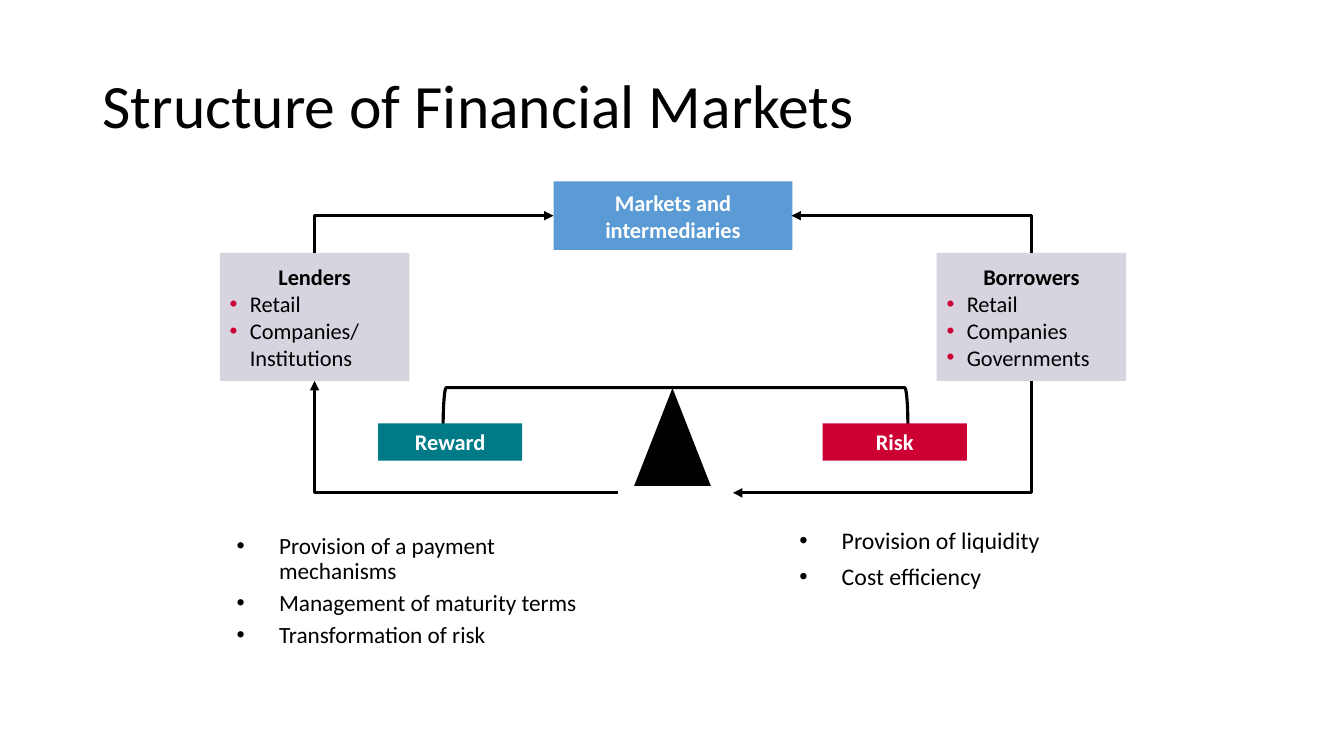
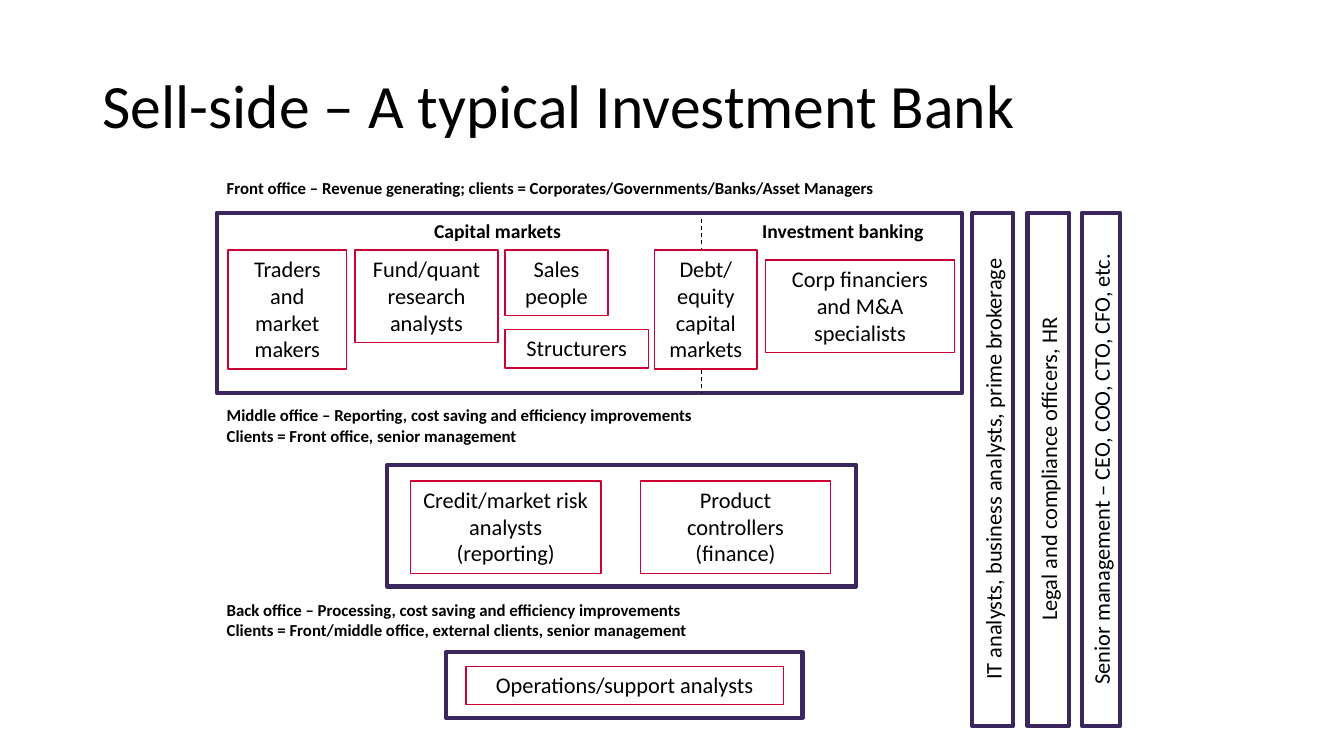
import pptx
import pptx.util
import pptx.dml.color
import pptx.enum.dml
import pptx.enum.shapes
import pptx.enum.text
import pptx.oxml.ns
import lxml.etree

PX = 9144
FONT = "Calibri"
COLORS = {
    "black": "000000", "white": "FFFFFF", "blue": "5B9BD5", "teal": "007A87",
    "red": "CC0033", "lilac": "D8D4DF", "purple": "3B265E",
}
TITLE_BOX = (92, 35, 1150, 145)
SHAPE = pptx.enum.shapes.MSO_SHAPE
CONNECTOR = pptx.enum.shapes.MSO_CONNECTOR
ALIGN = pptx.enum.text.PP_ALIGN
ANCHOR = pptx.enum.text.MSO_ANCHOR

MARKET_TITLE = "Structure of Financial Markets"
MARKET_LABELS = [
    ("Markets and intermediaries", (549, 180, 237, 68), "blue"),
    ("Reward", (375, 420, 143, 37), "teal"),
    ("Risk", (816, 420, 143, 37), "red"),
]
PARTIES = [
    (218, ["Lenders", "Retail", "Companies/\vInstitutions"]),
    (929, ["Borrowers", "Retail", "Companies", "Governments"]),
]
PARTY_TOP, PARTY_W, PARTY_H = 251, 188, 127
FLOWS = [
    ((549, 214), (312, 251), "headEnd"),
    ((785, 214), (1023, 251), "headEnd"),
    ((727, 489), (1023, 378), "headEnd"),
    ((613, 489), (312, 378), "tailEnd"),
]
BEAM = (651, 173, 38, 461)
PIVOT = (629, 385, 76, 97)
FUNCTIONS = [
    ((167, 525, 443, 134), 16.6, 0.9,
     ["Provision of a payment mechanisms", "Management of maturity terms",
      "Transformation of risk"]),
    ((725, 517, 442, 127), 17, 1.0, ["Provision of liquidity", "Cost efficiency"]),
]

BANK_TITLE = "Sell-side – A typical Investment Bank"
OFFICE_FRAMES = [(215, 211, 739, 179), (384, 461, 465, 121), (442, 647, 354, 65)]
ROLES = [
    ("Traders and market makers", (226, 248, 118, 118)),
    ("Fund/quant research analysts", (352, 248, 142, 92)),
    ("Sales people", (501, 248, 102, 65)),
    ("Structurers", (501, 327, 142, 38)),
    ("Debt/ equity capital markets", (649, 248, 102, 118)),
    ("Corp financiers and M&A specialists", (759, 258, 188, 92)),
    ("Credit/market risk analysts (reporting)", (407, 477, 189, 92)),
    ("Product controllers (finance)", (635, 477, 189, 92)),
    ("Operations/support analysts", (462, 661, 315, 38)),
]
OFFICE_NOTES = [
    ("Front office – Revenue generating; clients = Corporates/Governments/Banks/Asset Managers",
     (215, 171, 858, 30)),
    ("Middle office – Reporting, cost saving and efficiency improvements\v"
     "Clients = Front office, senior management", (215, 397, 823, 50)),
    ("Back office – Processing, cost saving and efficiency improvements\v"
     "Clients = Front/middle office, external clients, senior management",
     (215, 590, 819, 50)),
]
DIVISIONS = [
    ("Capital markets", (226, 212, 535, 33)),
    ("Investment banking", (710, 212, 252, 33)),
]
DIVIDER_X = 696
DIVIDER_SPANS = [(217, 248), (367, 390)]
SUPPORT = [
    ("IT analysts, business analysts, prime brokerage", 964, 41),
    ("Legal and compliance officers, HR", 1019, 41),
    ("Senior management – CEO, COO, CTO, CFO, etc.", 1073, 38),
]
SUPPORT_TOP, SUPPORT_H = 211, 509


def emu(*values):
    return [round(v * PX) for v in values]


def rgb(name):
    return pptx.dml.color.RGBColor.from_string(COLORS[name])


def add_element(parent, tag, **attrs):
    return lxml.etree.SubElement(parent, pptx.oxml.ns.qn("a:" + tag), attrs)


def set_line(shape, color, width):
    shape.line.color.rgb = rgb(color)
    shape.line.width = pptx.util.Pt(width)


def add_shape(s, box, fill=None, line=None, width=1, kind=SHAPE.RECTANGLE):
    sp = s.shapes.add_shape(kind, *emu(*box))
    sp.shadow.inherit = False
    if fill:
        sp.fill.solid()
        sp.fill.fore_color.rgb = rgb(fill)
    else:
        sp.fill.background()
    if line:
        set_line(sp, line, width)
    else:
        sp.line.fill.background()
    return sp


def write(sp, text, size, color="black", bold=False, align=ALIGN.LEFT,
          anchor=ANCHOR.TOP, wrap=True):
    tf = sp.text_frame
    tf.word_wrap = wrap
    tf.vertical_anchor = anchor
    tf.text = text
    for p in tf.paragraphs:
        p.alignment = align
        for r in p.runs:
            r.font.name = FONT
            r.font.size = pptx.util.Pt(size)
            r.font.bold = bold
            r.font.color.rgb = rgb(color)
    return tf


def add_text(s, box, text, size, **style):
    return write(s.shapes.add_textbox(*emu(*box)), text, size, **style)


def add_bullet(p, color, left, hanging):
    pPr = p._p.get_or_add_pPr()
    pPr.set("marL", str(left * PX))
    pPr.set("indent", str(-hanging * PX))
    add_element(add_element(pPr, "buClr"), "srgbClr", val=COLORS[color])
    add_element(pPr, "buFont", typeface="Arial")
    add_element(pPr, "buChar", char="•")


def add_line(s, start, end, width, kind=CONNECTOR.STRAIGHT):
    c = s.shapes.add_connector(kind, *emu(*start, *end))
    set_line(c, "black", width)
    add_element(c._element.spPr, "effectLst")
    return c


def add_flow(s, start, end, arrow):
    c = add_line(s, start, end, 2.25, CONNECTOR.ELBOW)
    c._element.spPr.find(pptx.oxml.ns.qn("a:prstGeom")).set("prst", "bentConnector2")
    add_element(c.line._get_or_add_ln(), arrow, type="triangle")


def add_slide(prs, title):
    s = prs.slides.add_slide(prs.slide_layouts[6])
    tf = add_text(s, TITLE_BOX, title, 44, anchor=ANCHOR.MIDDLE)
    tf.paragraphs[0].line_spacing = 0.9
    return s


def build_markets(prs):
    s = add_slide(prs, MARKET_TITLE)
    for box, size, spacing, items in FUNCTIONS:
        tf = add_text(s, box, "\n".join(items), size)
        for i, p in enumerate(tf.paragraphs):
            add_bullet(p, "black", 100, 42)
            p.line_spacing = spacing
            if i:
                p.space_before = pptx.util.Pt(5)
    beam = add_shape(s, BEAM, line="black", width=2.25, kind=SHAPE.RIGHT_BRACKET)
    beam.rotation = 270
    add_shape(s, PIVOT, fill="black", kind=SHAPE.ISOSCELES_TRIANGLE)
    for text, box, fill in MARKET_LABELS:
        write(add_shape(s, box, fill), text, 16, color="white", bold=True,
              align=ALIGN.CENTER, anchor=ANCHOR.MIDDLE)
    for left, lines in PARTIES:
        sp = add_shape(s, (left, PARTY_TOP, PARTY_W, PARTY_H), "lilac")
        tf = write(sp, "\n".join(lines), 16, anchor=ANCHOR.MIDDLE)
        heading, *members = tf.paragraphs
        heading.alignment = ALIGN.CENTER
        heading.runs[0].font.bold = True
        for p in members:
            add_bullet(p, "red", 20, 20)
    for flow in FLOWS:
        add_flow(s, *flow)


def build_bank(prs):
    s = add_slide(prs, BANK_TITLE)
    for box in OFFICE_FRAMES:
        add_shape(s, box, line="purple", width=3)
    for text, box in ROLES:
        write(add_shape(s, box, line="red"), text, 16, align=ALIGN.CENTER)
    for text, box in OFFICE_NOTES:
        add_text(s, box, text, 12, bold=True)
    for text, box in DIVISIONS:
        add_text(s, box, text, 14, bold=True, align=ALIGN.CENTER)
    for top, bottom in DIVIDER_SPANS:
        c = add_line(s, (DIVIDER_X, top), (DIVIDER_X, bottom), 0.75)
        c.line.dash_style = pptx.enum.dml.MSO_LINE.DASH
    for text, left, width in SUPPORT:
        shift = (SUPPORT_H - width) / 2
        sp = add_shape(s, (left - shift, SUPPORT_TOP + shift, SUPPORT_H, width),
                       line="purple", width=3)
        sp.rotation = 270
        write(sp, text, 16, align=ALIGN.CENTER, anchor=ANCHOR.MIDDLE, wrap=False)


def main():
    prs = pptx.Presentation()
    prs.slide_width, prs.slide_height = emu(1333, 750)
    build_markets(prs)
    build_bank(prs)
    prs.save("out.pptx")


if __name__ == "__main__":
    main()
